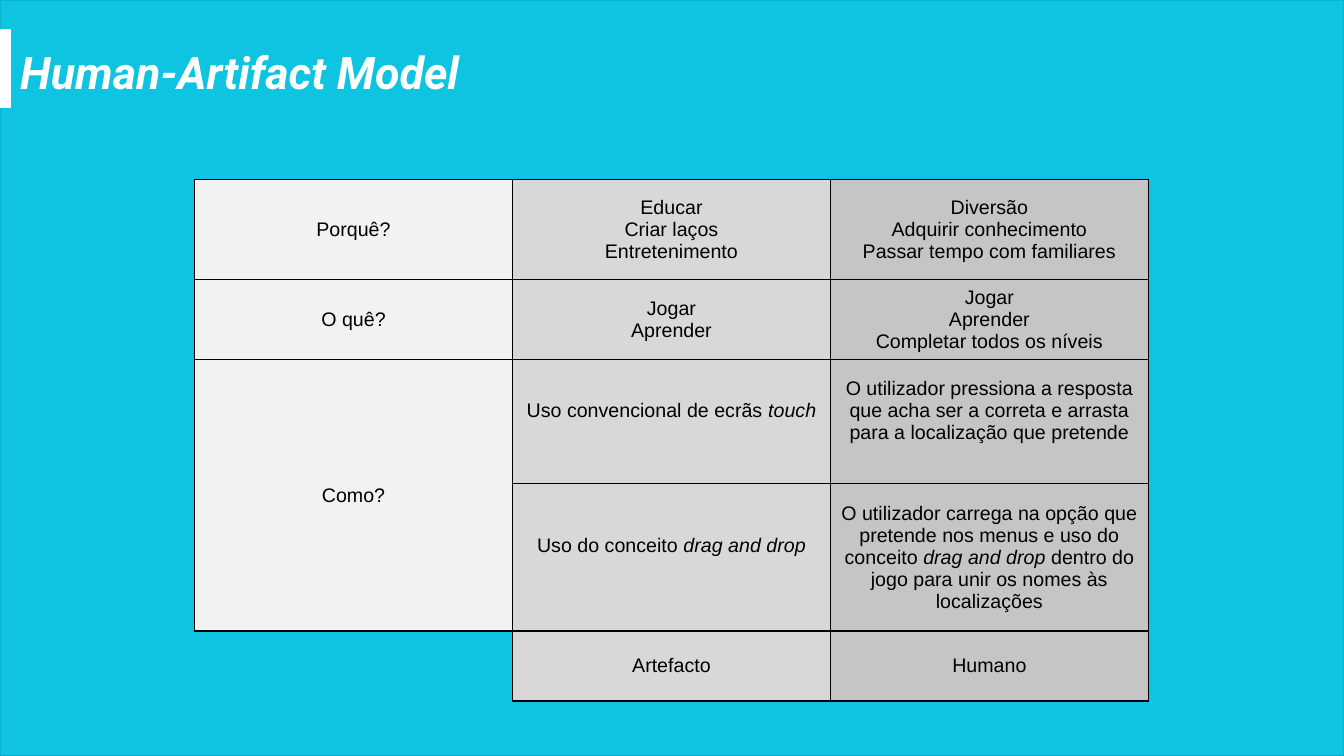
from dataclasses import dataclass
from lxml.etree import SubElement
from pptx import Presentation
from pptx.dml.color import RGBColor
from pptx.enum.shapes import MSO_SHAPE
from pptx.enum.text import MSO_ANCHOR, PP_ALIGN
from pptx.oxml.ns import qn
from pptx.util import Pt

TITLE = "Human-Artifact Model"
# Asterisks enclose italic words; a line break starts a new paragraph.
ROWS = [
    ("Porquê?",
     "Educar\nCriar laços\nEntretenimento",
     "Diversão\nAdquirir conhecimento\nPassar tempo com familiares"),
    ("O quê?",
     "Jogar\nAprender",
     "Jogar\nAprender\nCompletar todos os níveis"),
    ("Como?",
     "Uso convencional de ecrãs *touch*",
     "O utilizador pressiona a resposta que acha ser a correta e arrasta "
     "para a localização que pretende"),
    ("",
     "Uso do conceito *drag and drop*",
     "O utilizador carrega na opção que pretende nos menus e uso do conceito "
     "*drag and drop* dentro do jogo para unir os nomes às localizações"),
    ("", "Artefacto", "Humano"),
]
HEIGHTS = [71.5, 57, 88.6, 105.4, 50]
RAISED = {(2, 1), (2, 2), (3, 1)}  # cells whose text sits above the middle
EMPTY = (4, 0)
WIDTH = 227.1
LEFT, TOP = 139, 128.3


@dataclass(frozen=True)
class Theme:
    back: str = "11E0FF"
    dark: str = "000000"
    light: str = "FFFFFF"
    cols: tuple = ("F2F2F2", "D8D8D8", "C5C5C5")
    head: str = "Roboto"
    body: str = "Arial"
    big: int = 32
    small: int = 14
    veil: int = 12000
    lift: float = 19.6


THEME = Theme()


def rgb(code):
    return RGBColor.from_string(code)


def write(frame, text, *, font, size, color, align, bold=False, italic=False):
    """Fill a text frame; words between asterisks switch to italic."""
    frame.word_wrap = True
    for i, line in enumerate(text.split("\n")):
        para = frame.paragraphs[0] if i == 0 else frame.add_paragraph()
        para.alignment = align
        for j, part in enumerate(line.split("*")):
            if part:
                run = para.add_run()
                run.text = part
                run.font.name, run.font.size = font, Pt(size)
                run.font.bold = bold
                run.font.italic = italic or j % 2 == 1
                run.font.color.rgb = rgb(color)


def block(slide, x, y, w, h, color):
    shape = slide.shapes.add_shape(
        MSO_SHAPE.RECTANGLE, Pt(x), Pt(y), Pt(w), Pt(h))
    shape.shadow.inherit = False
    shape.fill.solid()
    shape.fill.fore_color.rgb = rgb(color)
    shape.line.color.rgb = rgb(color)
    shape.line.width = Pt(1)
    return shape


def edge(cell, sides):
    """Draw the named sides of a cell and clear the others."""
    props = cell._tc.get_or_add_tcPr()
    for side in "LRTB":
        line = SubElement(props, qn(f"a:ln{side}"), w=str(Pt(1)))
        if side in sides:
            fill = SubElement(line, qn("a:solidFill"))
            SubElement(fill, qn("a:srgbClr"), val=THEME.dark)
        else:
            SubElement(line, qn("a:noFill"))


def add_veil(slide, deck):
    veil = block(slide, 0, 0, deck.slide_width.pt, deck.slide_height.pt,
                 THEME.dark)
    for color in veil.element.spPr.iter(qn("a:srgbClr")):
        SubElement(color, qn("a:alpha"), val=str(THEME.veil))
    slide.shapes.title.element.addprevious(veil.element)


def add_title(slide):
    title = slide.shapes.title
    title.left, title.top = Pt(7.2), Pt(28.1)
    title.width, title.height = Pt(365), Pt(46)
    frame = title.text_frame
    frame.margin_left = frame.margin_right = Pt(7.2)
    frame.margin_top = frame.margin_bottom = Pt(3.6)
    frame.vertical_anchor = MSO_ANCHOR.MIDDLE
    write(frame, TITLE, font=THEME.head, size=THEME.big, color=THEME.light,
          align=PP_ALIGN.LEFT, bold=True, italic=True)


def add_grid(slide):
    count = len(THEME.cols)
    grid = slide.shapes.add_table(
        len(ROWS), count, Pt(LEFT), Pt(TOP),
        Pt(WIDTH * count), Pt(sum(HEIGHTS))).table
    grid.first_row = grid.horz_banding = False
    for col in grid.columns:
        col.width = Pt(WIDTH)
    for row, height in zip(grid.rows, HEIGHTS):
        row.height = Pt(height)
    grid.cell(2, 0).merge(grid.cell(3, 0))
    for r, texts in enumerate(ROWS):
        for c, text in enumerate(texts):
            cell = grid.cell(r, c)
            edge(cell, "TR" if (r, c) == EMPTY else "LRTB")
            if (r, c) == EMPTY:
                cell.fill.background()
                continue
            cell.fill.solid()
            cell.fill.fore_color.rgb = rgb(THEME.cols[c])
            cell.vertical_anchor = MSO_ANCHOR.MIDDLE
            if (r, c) in RAISED:
                cell.margin_bottom = Pt(THEME.lift)
            if text:
                write(cell.text_frame, text, font=THEME.body,
                      size=THEME.small, color=THEME.dark,
                      align=PP_ALIGN.CENTER)


def main():
    deck = Presentation()
    deck.slide_width, deck.slide_height = Pt(960), Pt(540)
    slide = deck.slides.add_slide(deck.slide_layouts[5])
    slide.background.fill.solid()
    slide.background.fill.fore_color.rgb = rgb(THEME.back)
    add_veil(slide, deck)
    add_title(slide)
    block(slide, 0, 21.4, 7.2, 55.4, THEME.light)
    add_grid(slide)
    deck.save("out.pptx")


if __name__ == "__main__":
    main()
